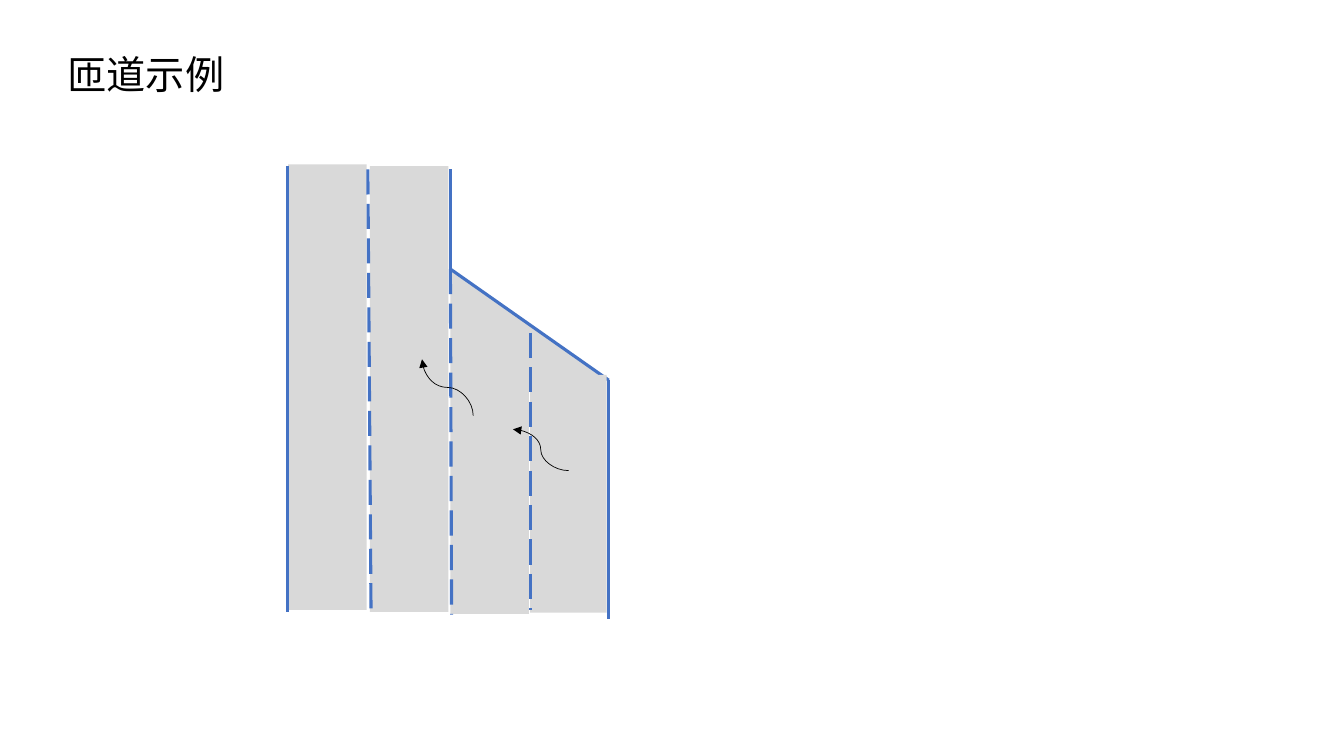
from dataclasses import dataclass

from lxml.etree import SubElement as Sub
from pptx import Presentation
from pptx.dml.color import RGBColor as Rgb
from pptx.enum.dml import MSO_LINE as Dash
from pptx.enum.shapes import MSO_CONNECTOR as Link
from pptx.enum.shapes import MSO_SHAPE as Kind
from pptx.enum.text import MSO_ANCHOR as Anchor
from pptx.enum.text import PP_ALIGN as Align
from pptx.oxml.ns import qn
from pptx.util import Cm, Pt


@dataclass(frozen=True)
class Theme:
    road: Rgb = Rgb(0xD9, 0xD9, 0xD9)
    edge: Rgb = Rgb(0x44, 0x72, 0xC4)
    ink: Rgb = Rgb(0, 0, 0)
    font: str = "Noto Sans CJK SC"
    head: Pt = Pt(28)
    thick: Pt = Pt(2.25)
    thin: Pt = Pt(0.5)


LOOK = Theme()


def apply(item, values):
    for name, value in values.items():
        setattr(item, name, value)


def set_title(slide, text, left, top, width, height):
    title = slide.shapes.title
    apply(title, {"left": Cm(left), "top": Cm(top),
                  "width": Cm(width), "height": Cm(height)})
    frame = title.text_frame
    apply(frame, {"vertical_anchor": Anchor.MIDDLE, "word_wrap": True})
    para = frame.paragraphs[0]
    apply(para, {"alignment": Align.LEFT, "line_spacing": 0.9})
    run = para.add_run()
    run.text = text
    apply(run.font, {"size": LOOK.head, "name": LOOK.font})
    run.font.color.rgb = LOOK.ink
    Sub(run.font._element, qn("a:ea"), typeface=LOOK.font)


def add_road(shapes, left, top, width, height, kind=Kind.RECTANGLE):
    road = shapes.add_shape(kind, Cm(left), Cm(top), Cm(width), Cm(height))
    road.shadow.inherit = False
    road.fill.solid()
    road.fill.fore_color.rgb = LOOK.road
    road.line.fill.background()
    return road


def add_link(shapes, kind, start, end, color, width):
    link = shapes.add_connector(kind, *map(Cm, start + end))
    link.line.color.rgb = color
    link.line.width = width
    return link


def add_mark(shapes, start, end, dash=None):
    mark = add_link(shapes, Link.STRAIGHT, start, end, LOOK.edge, LOOK.thick)
    if dash:
        mark.line.dash_style = dash
    Sub(mark._element.spPr, qn("a:effectLst"))


def add_turn(shapes, start, end, angle=0):
    turn = add_link(shapes, Link.CURVE, start, end, LOOK.ink, LOOK.thin)
    props = turn._element.spPr
    Sub(props.find(qn("a:ln")), qn("a:tailEnd"), type="triangle")
    Sub(props, qn("a:effectLst"))
    if angle:
        props.find(qn("a:xfrm")).set("rot", str(angle * 60000))


def draw_ramp(shapes):
    fork, bend = (11.35, 6.78), (15.34, 9.58)
    wedge = add_road(shapes, *fork, 3.94, 2.79, Kind.ISOSCELES_TRIANGLE)
    wedge.adjustments[0] = 0
    add_road(shapes, 11.35, 9.45, 1.98, 6.02)
    add_road(shapes, 9.32, 4.19, 1.98, 11.23)
    add_mark(shapes, bend, (15.34, 15.6))
    add_mark(shapes, fork, (11.38, 15.49), Dash.LONG_DASH)
    add_mark(shapes, (11.35, 4.27), fork)
    add_mark(shapes, bend, fork)
    add_turn(shapes, (10.57, 10.41), (11.99, 9.12), 270)


def draw_lanes(shapes):
    add_road(shapes, 7.26, 4.14, 1.98, 11.23)
    add_mark(shapes, (7.24, 4.19), (7.24, 15.42))
    add_mark(shapes, (9.27, 4.27), (9.35, 15.42), Dash.LONG_DASH)
    add_road(shapes, 13.36, 9.45, 1.93, 5.99)
    add_mark(shapes, (13.36, 8.38), (13.36, 15.37), Dash.LONG_DASH)
    add_turn(shapes, (14.33, 11.86), (12.93, 10.82))


def main():
    deck = Presentation()
    apply(deck, {"slide_width": Cm(33.87), "slide_height": Cm(19.05)})
    slide = deck.slides.add_slide(deck.slide_layouts.get_by_name("Title Only"))
    set_title(slide, "匝道示例", 1.45, 1.22, 30.73, 1.45)
    draw_ramp(slide.shapes.add_group_shape().shapes)
    draw_lanes(slide.shapes)
    deck.save("out.pptx")


if __name__ == "__main__":
    main()
